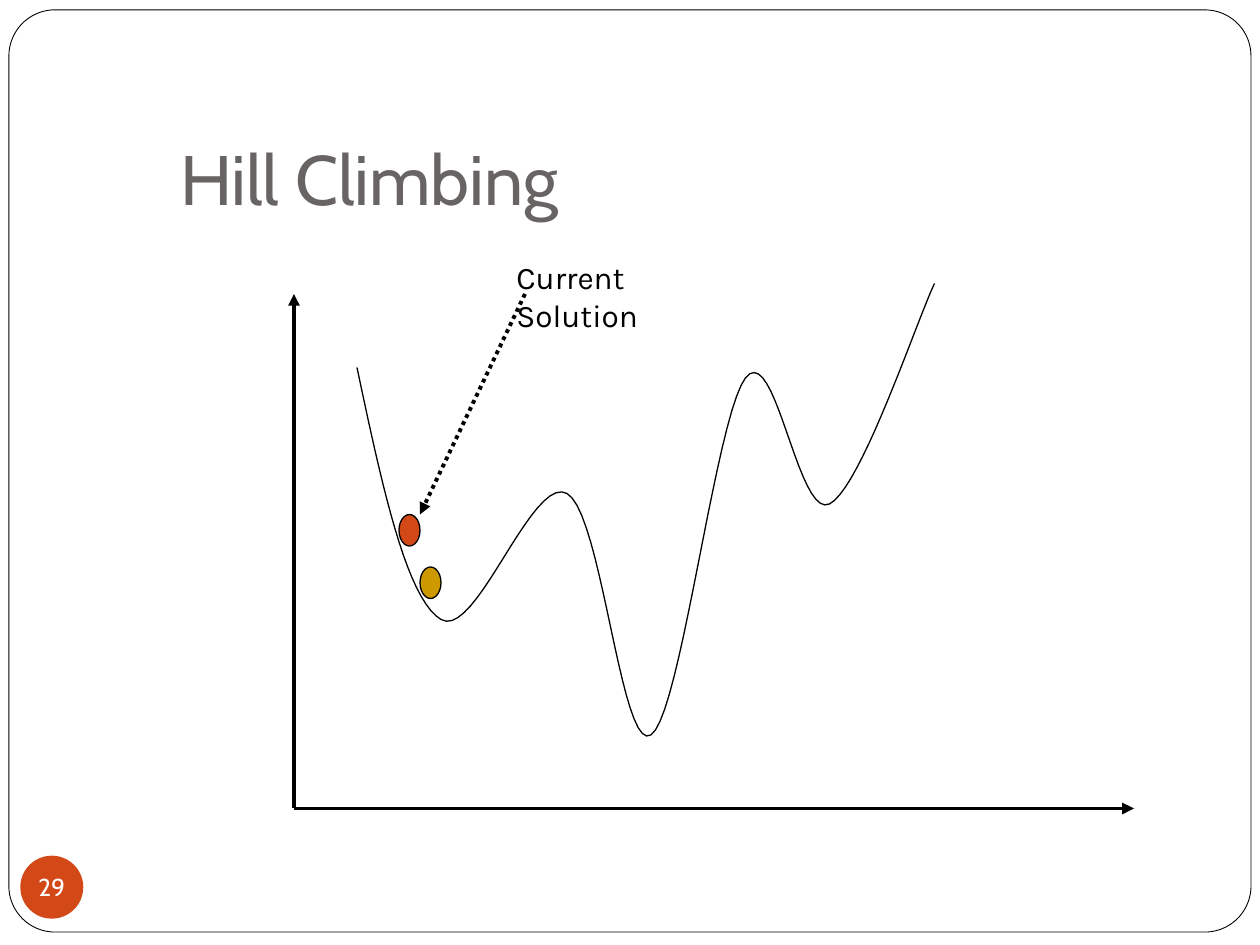
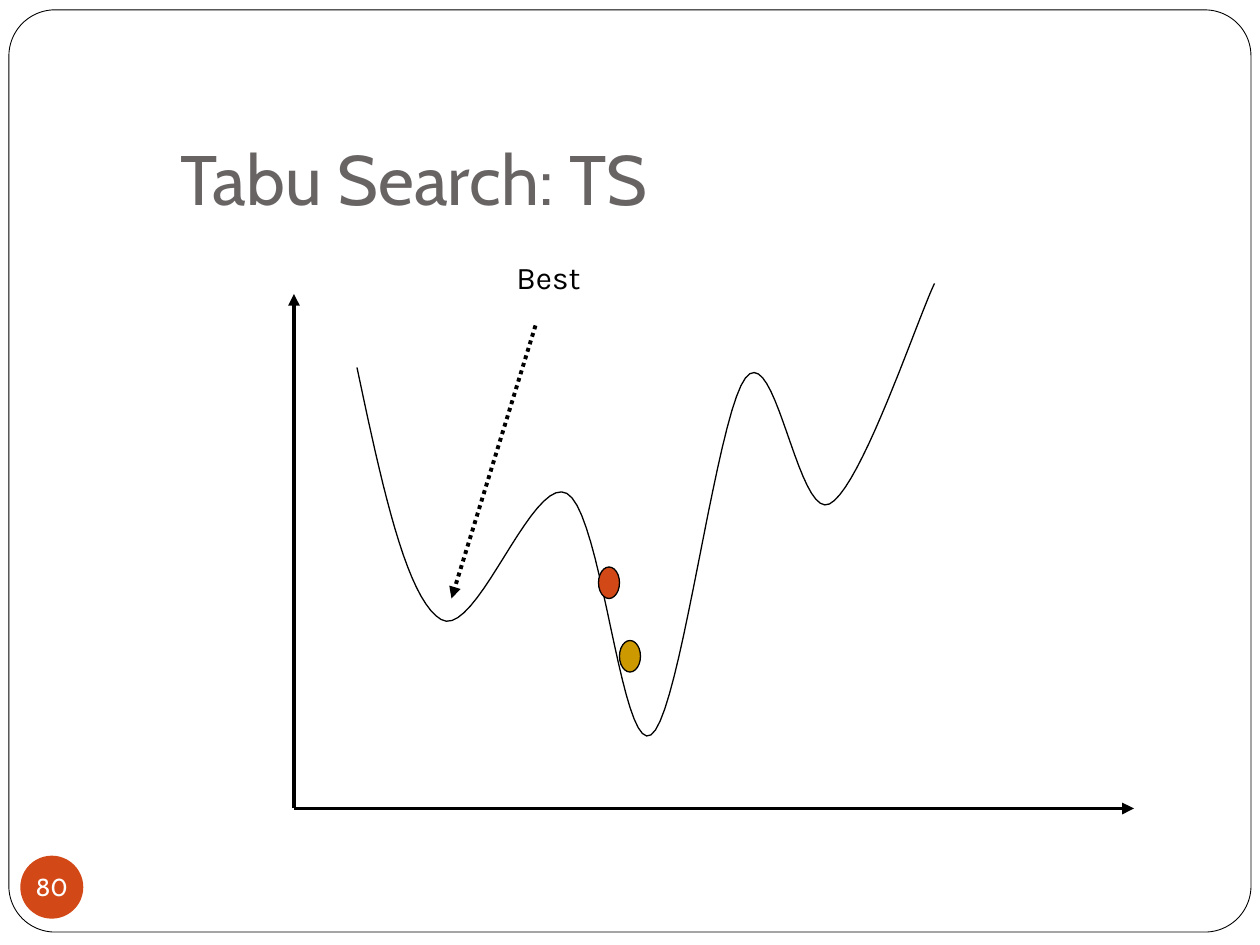
import pptx
import pptx.util
import pptx.dml.color
import pptx.enum.dml
import pptx.enum.shapes
import pptx.enum.text
import pptx.oxml
import pptx.oxml.ns
from dataclasses import dataclass

Cm = pptx.util.Cm
Pt = pptx.util.Pt
Kind = pptx.enum.shapes.MSO_SHAPE
Anchor = pptx.enum.text.MSO_ANCHOR
Align = pptx.enum.text.PP_ALIGN


@dataclass(frozen=True)
class Theme:
    ink: str = "000000"
    paper: str = "FFFFFF"
    title: str = "696464"
    red: str = "D34817"
    gold: str = "CC9900"
    head: str = "Cabin"
    body: str = "Karla"
    big: float = 40
    mid: float = 18
    small: float = 14
    hair: float = 0.5
    thin: float = 0.75
    thick: float = 2.25


THEME = Theme()
CELL = Cm(2.54) / 12  # the plot is laid out on a grid of twelfths of an inch

FRAME = (Cm(0.18), Cm(0.2), Cm(25.04), Cm(18.59))
TITLE = (Cm(3.38), Cm(2.39), Cm(21.64), Cm(2.29))
BADGE = (Cm(0.41), Cm(17.25), Cm(1.27), Cm(1.27))
PLOT = (28 * CELL, 27 * CELL, 80 * CELL, 50 * CELL)

# Knots of the cost curve in cells; the first and last only set the end slopes.
KNOTS = [(0, -34), (6, 8), (14, 32), (26, 20), (34, 43),
         (43, 9), (51, 21), (61, 0), (61, 0)]
STEPS = 20

SLIDES = [
    {"title": "Hill Climbing", "page": "29", "label": "Current Solution",
     "rows": 2, "arrow": ((22, 1), (12, 22)), "now": (10, 22), "next": (12, 27)},
    {"title": "Tabu Search: TS", "page": "80", "label": "Best",
     "rows": 1, "arrow": ((23, 4), (15, 30)), "now": (29, 27), "next": (31, 34)},
]


def apply(item, values):
    for name, value in values.items():
        setattr(item, name, value)


def tint(code):
    return pptx.dml.color.RGBColor.from_string(code)


def spot(box, cell):
    """Turn a cell of the plot grid into slide lengths."""
    return [round(start + step * CELL) for start, step in zip(box, cell)]


def stroke(line, width):
    line.color.rgb = tint(THEME.ink)
    line.width = Pt(width)


def shape(slide, kind, box, fill, width=None):
    item = slide.shapes.add_shape(kind, *box)
    item.shadow.inherit = False
    item.fill.solid()
    item.fill.fore_color.rgb = tint(fill)
    if width:
        stroke(item.line, width)
    else:
        item.line.fill.background()
    return item


def write(item, text, frame, font, color, align=Align.LEFT):
    apply(item.text_frame, frame)
    para = item.text_frame.paragraphs[0]
    para.alignment = align
    run = para.add_run()
    run.text = text
    apply(run.font, font)
    run.font.color.rgb = tint(color)


def arrow(slide, start, end, dash=None):
    kind = pptx.enum.shapes.MSO_CONNECTOR.STRAIGHT
    item = slide.shapes.add_connector(kind, *start, *end)
    stroke(item.line, THEME.thick)
    if dash:
        item.line.dash_style = dash
    space = pptx.oxml.ns.nsdecls("a")
    tip = pptx.oxml.parse_xml(f'<a:tailEnd {space} type="triangle"/>')
    item.get_or_add_ln().append(tip)
    item.element.spPr.append(pptx.oxml.parse_xml(f"<a:effectLst {space}/>"))


def frame(slide, box):
    item = shape(slide, Kind.ROUNDED_RECTANGLE, box, THEME.paper, THEME.hair)
    item.adjustments[0] = 0.05


def title(slide, box, text):
    layout = {"word_wrap": True, "vertical_anchor": Anchor.BOTTOM,
              "margin_bottom": Cm(0.25)}
    font = {"name": THEME.head, "size": Pt(THEME.big)}
    write(slide.shapes.add_textbox(*box), text, layout, font, THEME.title)


def badge(slide, box, page):
    item = shape(slide, Kind.OVAL, box, THEME.red)
    layout = {"word_wrap": False, "vertical_anchor": Anchor.MIDDLE}
    layout |= {f"margin_{side}": 0 for side in ("left", "top", "right", "bottom")}
    font = {"name": THEME.head, "size": Pt(THEME.small)}
    write(item, page, layout, font, THEME.paper, Align.CENTER)


def trace():
    """Sample the smooth curve through the knots, in cells."""
    points = [KNOTS[1]]
    for prior, start, end, after in zip(KNOTS, KNOTS[1:], KNOTS[2:], KNOTS[3:]):
        for step in range(1, STEPS + 1):
            t = step / STEPS
            u = 1 - t
            point = []
            for a, b, c, d in zip(prior, start, end, after):
                leave, reach = b + (c - a) / 6, c - (d - b) / 6
                point.append(u**3 * b + 3 * u * u * t * leave
                             + 3 * u * t * t * reach + t**3 * c)
            points.append(point)
    return points


def curve(slide, box):
    first, *rest = [spot(box, point) for point in trace()]
    pen = slide.shapes.build_freeform(*first)
    pen.add_line_segments(rest, close=False)
    item = pen.convert_to_shape()
    item.shadow.inherit = False
    item.fill.background()
    stroke(item.line, THEME.thin)


def label(slide, box, text, rows):
    place = spot(box, (20, -3))
    size = (round(14 * CELL), Cm(0.25 + 0.76 * rows))
    font = {"name": THEME.body, "size": Pt(THEME.mid)}
    item = slide.shapes.add_textbox(*place, *size)
    write(item, text, {"word_wrap": True}, font, THEME.ink)


def plot(slide, box, data):
    left, top, width, height = map(round, box)
    base = (left, top + height)
    arrow(slide, base, spot(box, (0, 1)))
    arrow(slide, base, (left + width, top + height))
    curve(slide, box)
    for name, color in (("now", THEME.red), ("next", THEME.gold)):
        size = (round(2 * CELL), round(3 * CELL))
        shape(slide, Kind.OVAL, (*spot(box, data[name]), *size), color, THEME.thin)
    start, end = (spot(box, cell) for cell in data["arrow"])
    arrow(slide, start, end, pptx.enum.dml.MSO_LINE.ROUND_DOT)
    label(slide, box, data["label"], data["rows"])


def main():
    deck = pptx.Presentation()
    apply(deck, {"slide_width": Cm(25.4), "slide_height": Cm(19.05)})
    for data in SLIDES:
        slide = deck.slides.add_slide(deck.slide_layouts[6])
        frame(slide, FRAME)
        title(slide, TITLE, data["title"])
        badge(slide, BADGE, data["page"])
        plot(slide, PLOT, data)
    deck.save("out.pptx")


if __name__ == "__main__":
    main()
